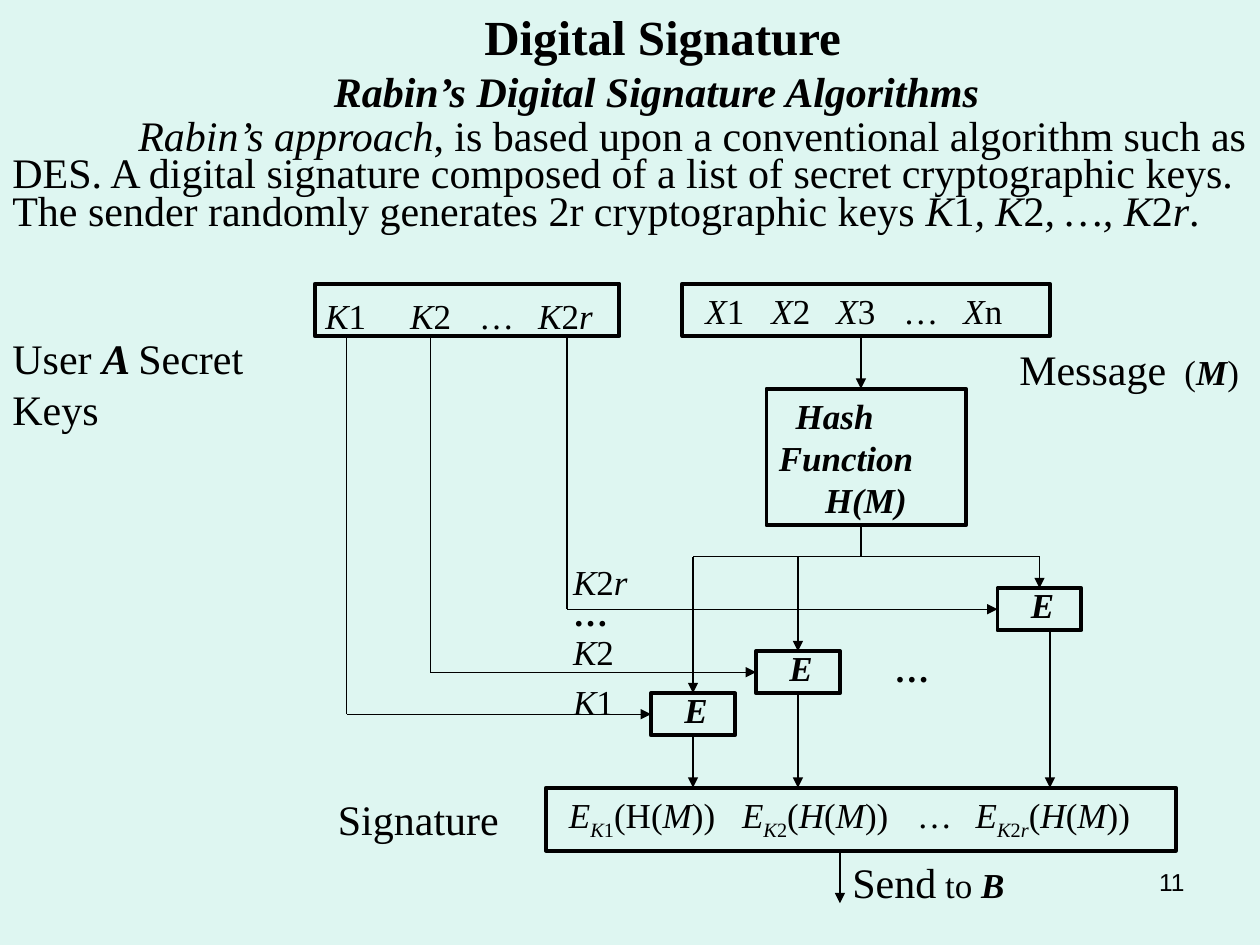
import pptx
import pptx.dml.color
import pptx.enum.shapes
import pptx.enum.text
import pptx.oxml.ns
import pptx.util
import lxml.etree

Cm, Pt = pptx.util.Cm, pptx.util.Pt
ALIGN = pptx.enum.text.PP_ALIGN
SERIF = "Times New Roman"
GRID = 2.54 / 12  # diagram grid step in cm


def colour(value):
    return pptx.dml.color.RGBColor.from_string(value)


def add_xml(parent, tag, **attributes):
    return lxml.etree.SubElement(parent, pptx.oxml.ns.qn(tag), attributes)


def add_run(para, text, style="", size=20, font=SERIF):
    """Style letters: b bold, i italic, s subscript."""
    span = para.add_run()
    span.text = text
    span.font.name, span.font.size = font, Pt(size)
    span.font.bold, span.font.italic = "b" in style, "i" in style
    span.font.color.rgb = colour("000000")
    if "s" in style:
        span.font._element.set("baseline", "-25000")


def write(page, box, paragraphs, align=ALIGN.LEFT, tabs=(), before=12.5,
          indents=(), spacing=None, wrap=True):
    """Each paragraph is a list of run tuples; box, tabs and indents are in cm."""
    frame = page.shapes.add_textbox(*map(Cm, box)).text_frame
    frame.word_wrap = wrap
    for index, runs in enumerate(paragraphs):
        para = frame.add_paragraph() if index else frame.paragraphs[0]
        para.alignment = align
        para.space_before = Pt(0 if index else before)
        if spacing:
            para.line_spacing = spacing
        properties = para._p.get_or_add_pPr()
        if indents:
            properties.set("marL", str(Cm(indents[index])))
        if tabs:
            stops = add_xml(properties, "a:tabLst")
            for stop in tabs:
                add_xml(stops, "a:tab", pos=str(Cm(stop)), algn="l")
        for run in runs:
            add_run(para, *run)


def draw_heading(page, box):
    write(page, box, [[(" Digital Signature", "b", 28)],
                      [("Rabin’s Digital Signature Algorithms", "bi", 24)]],
          ALIGN.CENTER, before=17.5, wrap=False)


def draw_body(page, box):
    runs = [("\t", ""), ("Rabin’s approach", "i"),
            (", is based upon a conventional algorithm such as DES. A digital "
             "signature composed of a list of secret cryptographic keys. The "
             "sender randomly generates 2r cryptographic keys ", ""),
            ("K", "i"), ("1", ""), (", K", "i"), ("2", ""), (", …, K", "i"),
            ("2", ""), ("r", "i"), (".", "")]
    write(page, box, [[(text, style, 24) for text, style in runs]],
          tabs=[2.54], before=7.5, spacing=0.75)


def draw_number(page, box):
    write(page, box, [[("11", "", 14, "Arial")]], ALIGN.RIGHT, before=0)


def draw_diagram(page, box):
    """Places all parts in grid steps from the top left of the box."""
    left, top = box[:2]

    def area(x, y, width, height):
        return left + x * GRID, top + y * GRID, width * GRID, height * GRID

    def frame(x, y, width, height):
        shape = page.shapes.add_shape(
            pptx.enum.shapes.MSO_SHAPE.RECTANGLE, *map(Cm, area(x, y, width, height)))
        shape.shadow.inherit = False
        shape.fill.background()
        shape.line.color.rgb = colour("000000")
        shape.line.width = Pt(2.25)

    def line(x1, y1, x2, y2, arrow=True):
        start, end = area(x1, y1, 0, 0)[:2], area(x2, y2, 0, 0)[:2]
        connector = page.shapes.add_connector(
            pptx.enum.shapes.MSO_CONNECTOR.STRAIGHT, *map(Cm, start + end))
        connector.line.color.rgb = colour("000000")
        connector.line.width = Pt(0.75)
        if arrow:
            add_xml(connector.line._get_or_add_ln(), "a:tailEnd", type="triangle")
        add_xml(connector._element.spPr, "a:effectLst")

    def label(x, y, width, height, *runs, tabs=()):
        write(page, area(x, y, width, height), [runs], tabs=tabs)

    # Secret keys
    frame(30, 0, 29, 5)
    label(29.8, 0.4, 32, 5.3, ("K", "i"), ("1\t",), ("K", "i"), ("2\t…\t",),
          ("K", "i"), ("2",), ("r", "i"), tabs=[1.71, 3.1, 4.29])
    label(0, 4.1, 31, 10.8, ("User ", "", 24), ("A ", "bi", 24), ("Secret Keys", "", 24))

    # Message and hash function
    frame(65, 0, 35, 5)
    label(66, 0, 38, 5.3, ("X", "i"), ("1\t",), ("X", "i"), ("2\t",), ("X", "i"),
          ("3\t…\t",), ("X", "i"), ("n",), tabs=[1.33, 2.64, 3.99, 5.2])
    label(95.9, 5.1, 25.9, 6, ("Message\t", "", 24), ("(",), ("M", "bi"), (")",),
          tabs=[3.33])
    frame(73, 10, 19, 13)
    write(page, area(73, 10, 18, 13.2),
          [[(word, "bi")] for word in ("Hash", "Function", "H(M)")],
          indents=[0.34, 0, 0.93])
    line(82, 5, 82, 10)

    # Hash value spread over the encryption steps
    bus = 26
    line(82, 23, 82, bus, arrow=False)
    line(66, bus, 99, bus, arrow=False)

    # Encryption steps: box corner, key x, hash x, result x
    for x, y, key, hash_in, result in [(95, 29, 54, 99, 100),
                                       (72, 35, 41, 76, 76),
                                       (62, 39, 33, 66, 66)]:
        frame(x, y, 8, 4)
        label(x + 2, y - 1, 5, 5.3, ("E", "bi"))
        line(key, 5, key, y + 2, arrow=False)
        line(key, y + 2, x, y + 2)
        line(hash_in, bus, hash_in, y)
        line(result, y + 4, result, 48)

    # Key names and ellipses
    for x, y, runs in [(53.4, 25.8, [("K", "i"), ("2",), ("r", "i")]),
                       (53.4, 28.7, [("…", "b")]),
                       (53.4, 32.4, [("K", "i"), ("2",)]),
                       (53.4, 37.2, [("K", "i"), ("1",)]),
                       (84, 34.1, [("…", "b")])]:
        label(x, y, 11, 5.3, *runs)

    # Signature and sending
    frame(52, 48, 60, 6)
    message = [("(",), ("M", "i"), ("))",)]
    label(53, 48, 70, 5.8,
          ("E", "i"), ("K", "is"), ("1", "s"), ("(H",), *message, ("\t",),
          ("E", "i"), ("K", "is"), ("2", "s"), ("(",), ("H", "i"), *message, ("\t…\t",),
          ("E", "i"), ("K", "is"), ("2", "s"), ("r", "is"), ("(",), ("H", "i"), *message,
          tabs=[3.49, 7.02, 8.2])
    label(31, 48, 22, 6, ("Signature", "", 24))
    line(80, 54, 80, 59)
    label(80, 54, 20, 6, ("Send", "", 24), (" to ",), ("B", "bi"))


def main():
    deck = pptx.Presentation()
    deck.slide_width, deck.slide_height = Cm(25.4), Cm(19.05)
    page = deck.slides.add_slide(deck.slide_layouts[6])
    page.background.fill.solid()
    page.background.fill.fore_color.rgb = colour("DEF6F1")
    draw_number(page, (18.2, 17.35, 5.93, 1.32))
    draw_heading(page, (6.43, 0, 13.61, 2.44))
    draw_body(page, (0, 2.31, 25.4, 3.3))
    draw_diagram(page, (0, 5.72, 25.4, 12.7))
    deck.save("out.pptx")


if __name__ == "__main__":
    main()
